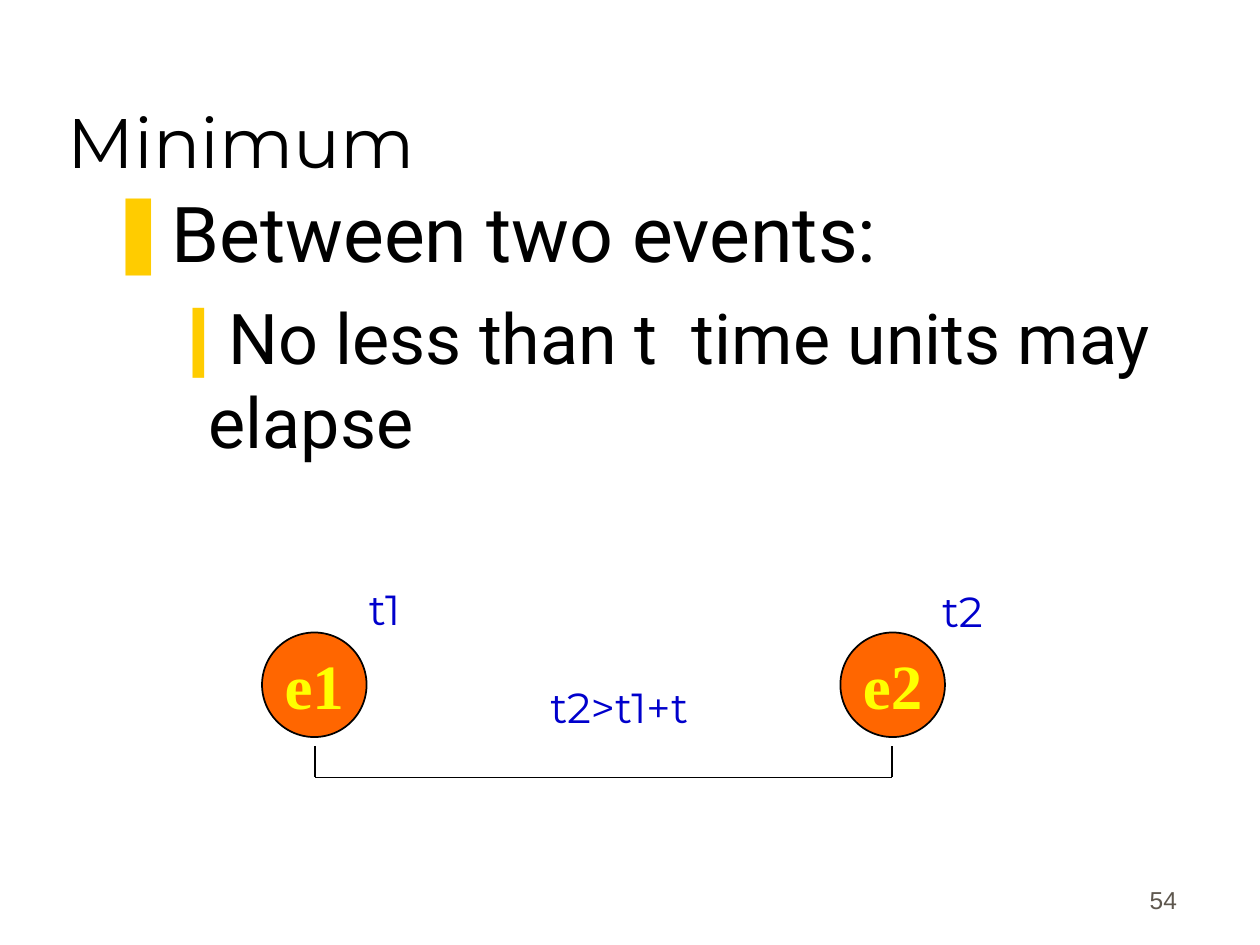
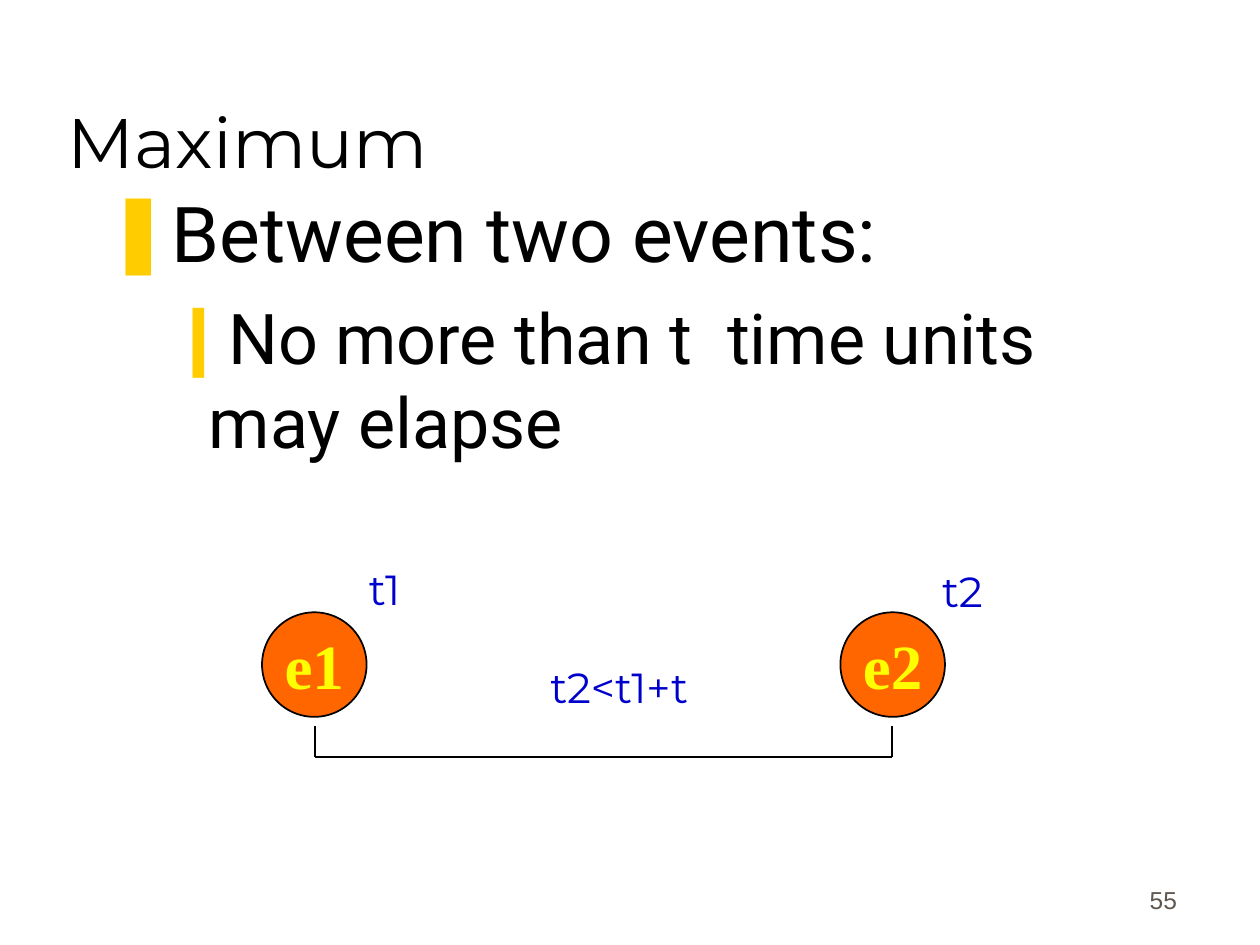
from lxml import etree
from pptx import Presentation
from pptx.dml.color import RGBColor
from pptx.enum.shapes import MSO_CONNECTOR, MSO_SHAPE
from pptx.enum.text import MSO_ANCHOR, PP_ALIGN
from pptx.oxml.ns import qn
from pptx.util import Inches, Pt

LEFT, CENTER, RIGHT = PP_ALIGN.LEFT, PP_ALIGN.CENTER, PP_ALIGN.RIGHT
TOP, MIDDLE, BOTTOM = MSO_ANCHOR.TOP, MSO_ANCHOR.MIDDLE, MSO_ANCHOR.BOTTOM
OVAL, STRAIGHT = MSO_SHAPE.OVAL, MSO_CONNECTOR.STRAIGHT

BLACK = RGBColor(0x00, 0x00, 0x00)
ORANGE = RGBColor(0xFF, 0x66, 0x00)
YELLOW = RGBColor(0xFF, 0xFF, 0x00)
BLUE = RGBColor(0x00, 0x00, 0xCC)
GREY = RGBColor(0x5E, 0x57, 0x4E)
GOLD = RGBColor(0xFF, 0xCC, 0x00)

HEAD, BODY, EVENT, FOOT = "Montserrat", "Roboto", "Times New Roman", "Arial"
SIZE = 0.83  # diameter of an event circle


def write(frame, text, size, font, color=BLACK, bold=False, align=LEFT,
          anchor=TOP, wrap=True, first=True, bullet=None, margin=0, hang=0,
          before=0):
    """Fill the first paragraph of the frame, or add a further one."""
    frame.word_wrap = wrap
    frame.vertical_anchor = anchor
    para = frame.paragraphs[0] if first else frame.add_paragraph()
    if bullet:
        props = para._p.get_or_add_pPr()
        props.set("marL", str(Inches(margin)))
        props.set("indent", str(-Inches(hang)))
        tint = etree.SubElement(props, qn("a:buClr"))
        etree.SubElement(tint, qn("a:srgbClr"), val=str(GOLD))
        etree.SubElement(props, qn("a:buFont"), typeface=FOOT)
        etree.SubElement(props, qn("a:buChar"), char=bullet)
    para.alignment = align
    if before:
        para.space_before = Pt(before)
    run = para.add_run()
    run.text = text
    run.font.size = Pt(size)
    run.font.name = font
    run.font.bold = bold
    run.font.color.rgb = color


def add_box(slide, left, top, width, height):
    """Return the text frame of a new text box."""
    return slide.shapes.add_textbox(Inches(left), Inches(top), Inches(width),
                                    Inches(height)).text_frame


deck = Presentation()
deck.slide_width, deck.slide_height = Inches(10), Inches(7.5)

# title, rule, formula, top of the event circles, page number
pages = [
    ("Minimum", "No less than t  time units may elapse", "t2>t1+t", 5.02, "54"),
    ("Maximum", "No more than t  time units may elapse", "t2<t1+t", 4.86, "55"),
]

for title, rule, formula, top, number in pages:
    slide = deck.slides.add_slide(deck.slide_layouts[6])
    write(add_box(slide, 0.44, 0.25, 8.5, 1.25), title, 40, HEAD, anchor=BOTTOM)

    body = add_box(slide, 0.75, 1.42, 8.5, 4.5)
    write(body, "Between two events:", 44, BODY,
          bullet="❚", margin=0.38, hang=0.38)
    write(body, rule, 40, BODY, first=False,
          bullet="❙", margin=0.81, hang=0.31, before=10)

    # events, each with its time at the upper right
    events = [("e1", "t1", 2.08, 2.83, 0.44), ("e2", "t2", 6.67, 7.38, 0.42)]
    for event, time, left, side, rise in events:
        circle = slide.shapes.add_shape(OVAL, Inches(left), Inches(top),
                                        Inches(SIZE), Inches(SIZE))
        circle.shadow.inherit = False
        circle.fill.solid()
        circle.fill.fore_color.rgb = ORANGE
        circle.line.color.rgb = BLACK
        circle.line.width = Pt(1)
        write(circle.text_frame, event, 36, EVENT, color=YELLOW, bold=True,
              align=CENTER, anchor=MIDDLE, wrap=False)
        write(add_box(slide, side, top - rise, 0.7, 0.44), time, 24, HEAD,
              color=BLUE)
    write(add_box(slide, 4, top + 0.34, 1.83, 0.33), formula, 24, HEAD,
          color=BLUE, align=CENTER)

    # bracket from one event to the other
    high, low = top + 0.9, top + 1.15
    bends = [(2.5, high), (2.5, low), (7.08, low), (7.08, high)]
    for start, end in zip(bends, bends[1:]):
        line = slide.shapes.add_connector(
            STRAIGHT, *[Inches(n) for n in start + end])
        line.line.color.rgb = BLACK
        line.line.width = Pt(1)
        etree.SubElement(line._element.spPr, qn("a:effectLst"))

    write(add_box(slide, 7.36, 6.81, 2.08, 0.5), number, 14, FOOT, color=GREY,
          align=RIGHT, anchor=BOTTOM)

deck.save("out.pptx")
